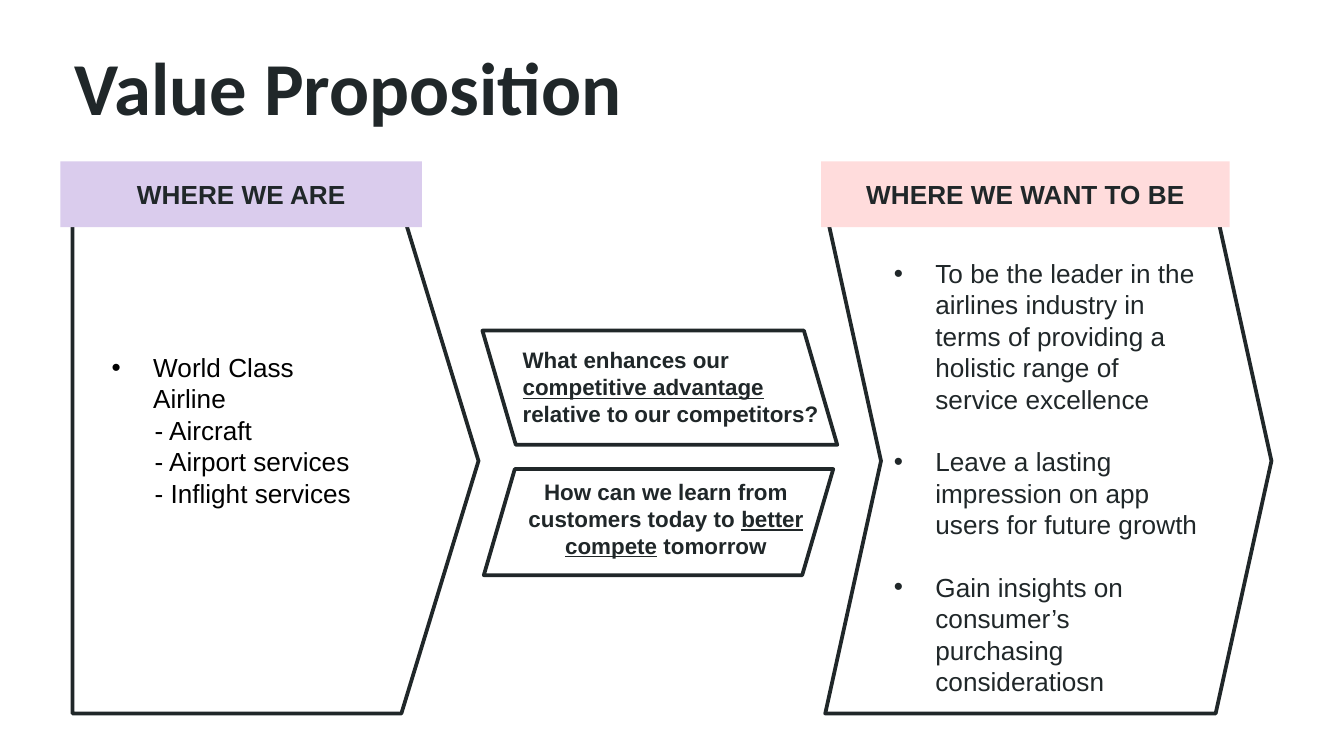
from pptx import Presentation
from pptx.dml.color import RGBColor
from pptx.enum.shapes import MSO_SHAPE as Shp
from pptx.enum.text import MSO_ANCHOR as Anchor, MSO_AUTO_SIZE as Auto, PP_ALIGN as Align
from pptx.oxml.ns import qn
from pptx.util import Inches, Pt
from lxml.etree import SubElement

WIDTH = Inches(10)
HEIGHT = WIDTH * 9 // 16
COLS = 100
CELL = WIDTH // COLS
INK, WHITE = "202729", "FFFFFF"


def rgb(code):
    return RGBColor.from_string(code)


def grid(*cells):
    return [int(n * CELL) for n in cells]


def place(s, cells):
    s.left, s.top, s.width, s.height = grid(*cells)


def style(r, size, color=INK, bold=False, underline=False, font="Arial"):
    f = r.font
    f.name, f.size, f.bold, f.underline = font, Pt(size), bold, underline
    f.color.rgb = rgb(color)


def frame(s, inset=(0, 0), anchor=Anchor.TOP):
    tf = s.text_frame
    tf.word_wrap = True
    tf.auto_size = Auto.NONE
    tf.vertical_anchor = anchor
    tf.margin_left = tf.margin_right = Inches(inset[0])
    tf.margin_top = tf.margin_bottom = Inches(inset[1])
    return tf


def add_box(slide, kind, cells, fill=WHITE, line=None, adj=None, flip=False):
    s = slide.shapes.add_shape(kind, *grid(*cells))
    s.shadow.inherit = False
    s.fill.solid()
    s.fill.fore_color.rgb = rgb(fill)
    if line:
        s.line.color.rgb = rgb(line)
        s.line.width = Pt(2)
    else:
        s.line.fill.background()
    if adj:
        s.adjustments[0] = adj
    if flip:
        s._element.spPr.xfrm.set("flipH", "1")
    return s


def add_header(slide, cells, fill, text):
    s = add_box(slide, Shp.RECTANGLE, cells, fill)
    tf = frame(s, (0.1, 0.05), Anchor.MIDDLE)
    tf.text = text
    p = tf.paragraphs[0]
    p.alignment = Align.CENTER
    style(p.runs[0], 14, bold=True)


def add_question(slide, cells, parts, align):
    tf = frame(slide.shapes.add_textbox(*grid(*cells)), (0.1, 0.05))
    p = tf.paragraphs[0]
    p.alignment = align
    for i, part in enumerate(parts):
        r = p.add_run()
        r.text = part
        style(r, 12, bold=True, underline=i == 1)


def set_title(s, cells, text):
    place(s, cells)
    tf = frame(s, (0.1, 0.1))
    tf.text = text
    p = tf.paragraphs[0]
    p.alignment = Align.LEFT
    style(p.runs[0], 40, bold=True, font="Calibri")


def set_bullet(p, bulleted):
    pPr = p._p.get_or_add_pPr()
    hang = Inches(0.31)
    pPr.set("marL", str(hang if bulleted else Inches(0.32)))
    pPr.set("indent", str(-hang if bulleted else 0))
    if bulleted:
        SubElement(pPr, qn("a:buFont"), typeface="Arial")
        SubElement(pPr, qn("a:buChar"), char="•")
    else:
        SubElement(pPr, qn("a:buNone"))


def set_list(s, cells, items, color, gap=0):
    place(s, cells)
    s._element.getparent().append(s._element)
    tf = frame(s)
    tf.text = "\n".join(items)
    for i, p in enumerate(tf.paragraphs):
        p.space_before = Pt(gap if i else 0)
        p.alignment = Align.LEFT
        set_bullet(p, not p.text.startswith("-"))
        style(p.runs[0], 14, color)


def main():
    prs = Presentation()
    prs.slide_width, prs.slide_height = WIDTH, HEIGHT
    slide = prs.slides.add_slide(prs.slide_layouts[3])
    title, today, goals = slide.placeholders

    set_title(title, (4.55, 2.05, 93.2, 6.3), "Value Proposition")

    add_box(slide, Shp.PENTAGON, (5.4, 15.5, 30.2, 37.6), line=INK, adj=0.19)
    add_box(slide, Shp.CHEVRON, (61.4, 15.5, 33.2, 37.6), line=INK, adj=0.125)
    add_header(slide, (4.5, 12, 26.9, 4.9), "DACCED", "WHERE WE ARE")
    add_header(slide, (61.1, 12, 30.4, 4.9), "FFDCDC", "WHERE WE WANT TO BE")

    questions = [
        ((35.9, 24.6, 26.4, 8.5), True, (37.9, 25.3, 25.9, 9.4), Align.LEFT,
         ["What enhances our ", "competitive advantage ", "relative to our competitors?"]),
        ((36, 34.9, 26, 7.9), False, (37.1, 35.1, 24.9, 7.1), Align.CENTER,
         ["How can we learn from customers today to ", "better compete", " tomorrow"]),
    ]
    for outline, flip, text_area, align, parts in questions:
        add_box(slide, Shp.PARALLELOGRAM, outline, line=INK, adj=0.292, flip=flip)
        add_question(slide, text_area, parts, align)

    set_list(today, (8.3, 26.15, 18.7, 11.8),
             ["World Class Airline", "- Aircraft", "- Airport services", "- Inflight services"],
             "000000")
    set_list(goals, (66.5, 19.15, 22.9, 32.8),
             ["To be the leader in the airlines industry in terms of providing a "
              "holistic range of service excellence",
              "Leave a lasting impression on app users for future growth",
              "Gain insights on consumer’s purchasing consideratiosn"],
             INK, gap=16.8)

    prs.save("out.pptx")


main()
